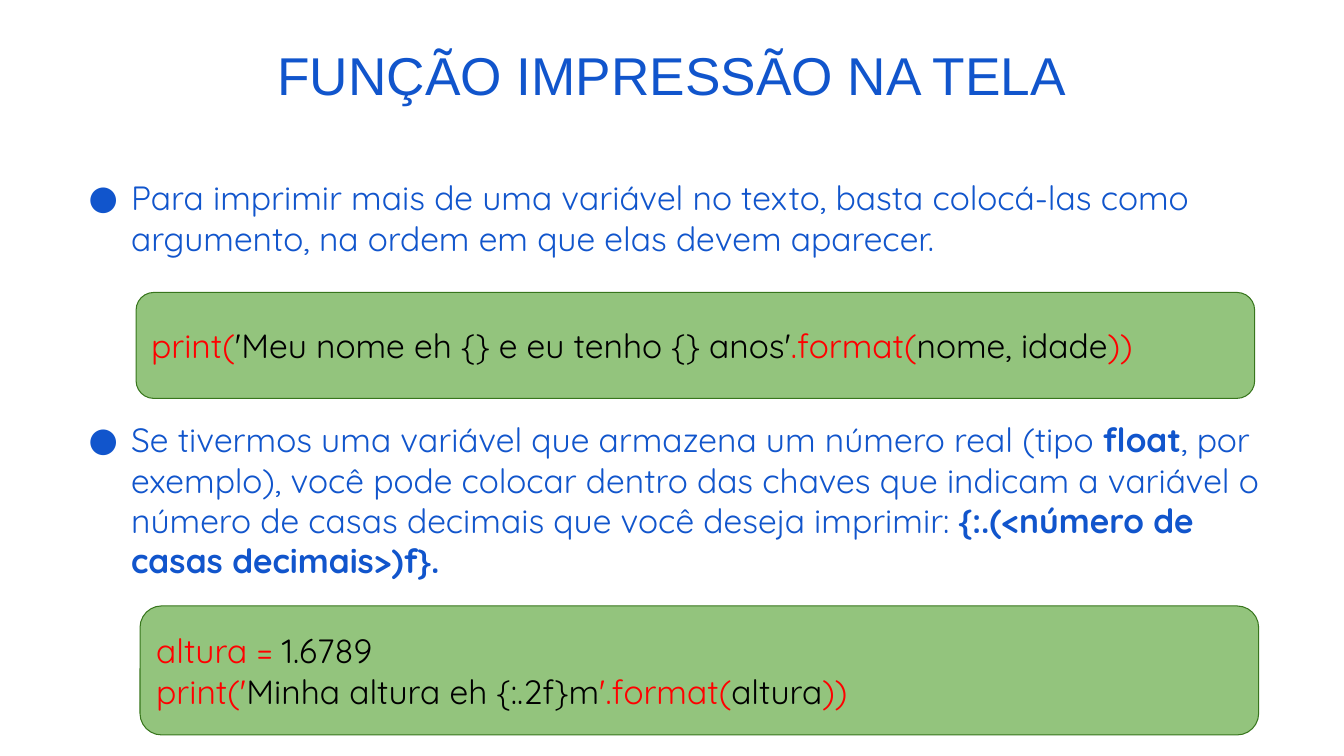
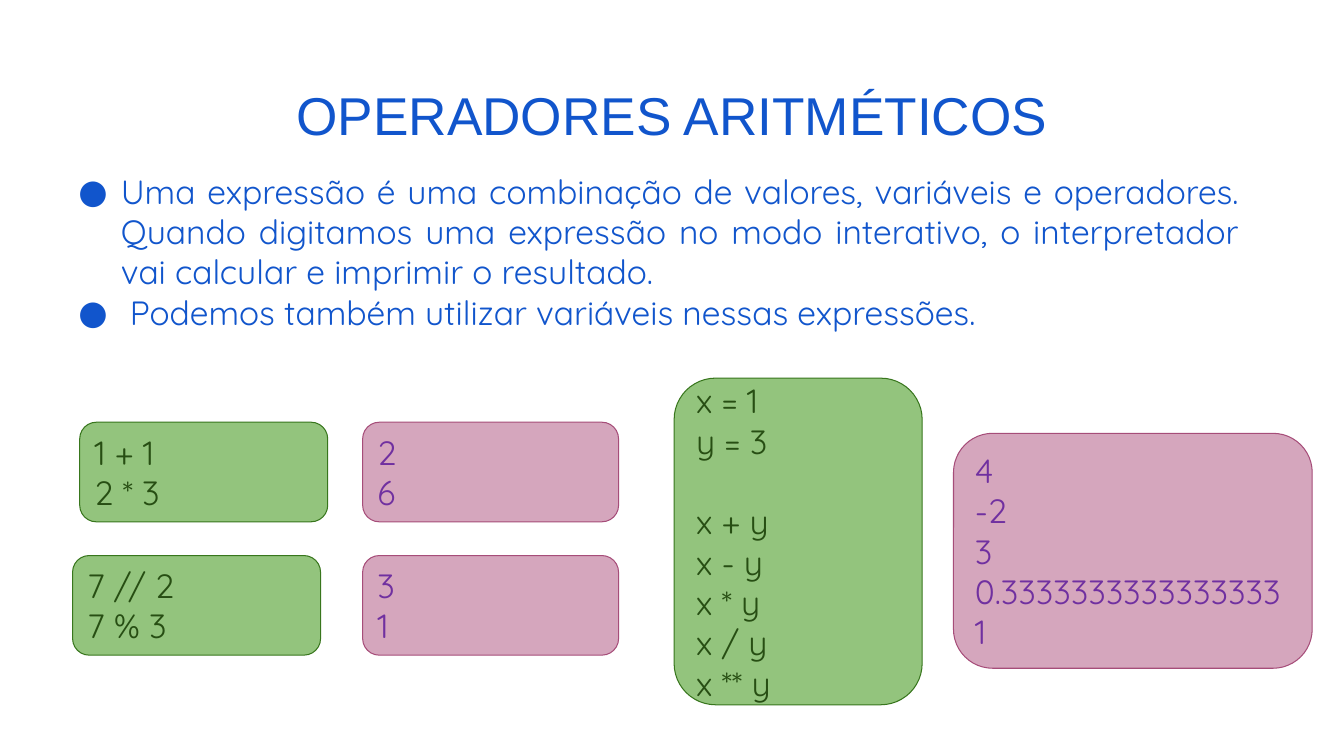
import dataclasses
import itertools

import lxml.etree
import pptx
import pptx.dml.color
import pptx.enum.shapes
import pptx.enum.text
import pptx.oxml.ns
import pptx.util

Cm = pptx.util.Cm
Pt = pptx.util.Pt
RGB = pptx.dml.color.RGBColor.from_string
ALIGN = pptx.enum.text.PP_ALIGN
ANCHOR = pptx.enum.text.MSO_ANCHOR
qn = pptx.oxml.ns.qn


@dataclasses.dataclass(frozen=True)
class Theme:
    blue: str = "1155CC"
    red: str = "FF0000"
    black: str = "000000"
    dark_green: str = "274E13"
    purple: str = "7030A0"
    green_panel: tuple = ("93C47D", "38761D")
    pink_panel: tuple = ("D5A6BD", "A64D79")
    title_font: str = "Arial"
    text_font: str = "Quicksand"
    title_size: int = 38
    text_size: int = 24
    line_gap: float = 28.8


theme = Theme()
PLAIN_BOLD = [(theme.blue, False), (theme.blue, True)]
CODE = [(theme.red, False), (theme.black, False)]
INPUT = [(theme.dark_green, False)]
OUTPUT = [(theme.purple, False)]


def write(tf, paragraphs, looks, align, gaps):
    for i, parts in enumerate(paragraphs):
        p = tf.paragraphs[0] if i == 0 else tf.add_paragraph()
        p.alignment = align
        p.space_before = Pt(gaps.get(i, 0))
        for text, (color, bold) in zip(parts, itertools.cycle(looks)):
            r = p.add_run()
            r.text = text
            r.font.name = theme.text_font
            r.font.size = Pt(theme.text_size)
            r.font.bold = bold
            r.font.color.rgb = RGB(color)


def add_panel(s, box, colors, paragraphs, looks, gaps):
    sp = s.shapes.add_shape(pptx.enum.shapes.MSO_SHAPE.ROUNDED_RECTANGLE, *map(Cm, box))
    sp.shadow.inherit = False
    fill, line = colors
    sp.fill.solid()
    sp.fill.fore_color.rgb = RGB(fill)
    sp.line.color.rgb = RGB(line)
    sp.line.width = Pt(0.75)
    tf = sp.text_frame
    tf.word_wrap = True
    tf.vertical_anchor = ANCHOR.MIDDLE
    tf.margin_left = tf.margin_right = tf.margin_top = tf.margin_bottom = Cm(0.25)
    write(tf, paragraphs, looks, ALIGN.LEFT, gaps)


prs = pptx.Presentation()
prs.slide_width = Cm(33.87)
prs.slide_height = Cm(19.05)

slides = [
    dict(
        title="FUNÇÃO IMPRESSÃO NA TELA",
        title_top=0.79,
        body_box=(1.78, 4.34, 30.45, 13.51),
        align=ALIGN.LEFT,
        gaps={1: 4 * theme.line_gap},
        bullets=[
            ["Para imprimir mais de uma variável no texto, basta colocá-las como "
             "argumento, na ordem em que elas devem aparecer."],
            ["Se tivermos uma variável que armazena um número real (tipo ", "float",
             ", por exemplo), você pode colocar dentro das chaves que indicam a variável o "
             "número de casas decimais que você deseja imprimir: ",
             "{:.(<número de casas decimais>)f}."],
        ],
        panels=[
            ((3.43, 7.37, 28.19, 2.67), theme.green_panel,
             [["print(", "'Meu nome eh {} e eu tenho {} anos'", ".format(", "nome, idade", "))"]],
             CODE, {}),
            ((3.53, 15.27, 28.19, 3.25), theme.green_panel,
             [["altura = ", "1.6789"],
              ["print('", "Minha altura eh {:.2f}m", "'.format(", "altura", "))"]],
             CODE, {}),
        ],
    ),
    dict(
        title="OPERADORES ARITMÉTICOS",
        title_top=1.8,
        body_box=(1.52, 4.17, 29.95, 12.65),
        align=ALIGN.JUSTIFY,
        gaps={},
        bullets=[
            ["Uma expressão é uma combinação de valores, variáveis e operadores. "
             "Quando digitamos uma expressão no modo interativo, o interpretador "
             "vai calcular e imprimir o resultado."],
            [" Podemos também utilizar variáveis nessas expressões."],
        ],
        panels=[
            ((2.01, 10.64, 6.25, 2.51), theme.green_panel, [["1 + 1"], ["2 * 3"]], INPUT, {}),
            ((9.14, 10.64, 6.45, 2.51), theme.pink_panel, [["2"], ["6"]], OUTPUT, {}),
            ((24.03, 10.92, 9.04, 5.92), theme.pink_panel,
             [["4"], ["-2"], ["3"], ["0.3333333333333333"], ["1"]], OUTPUT, {}),
            ((16.99, 9.53, 6.25, 8.23), theme.green_panel,
             [["x = 1"], ["y = 3"], ["x + y"], ["x - y"], ["x * y"], ["x / y"], ["x ** y"]],
             INPUT, {2: theme.line_gap}),
            ((1.83, 14, 6.25, 2.51), theme.green_panel, [["7 // 2"], ["7 % 3"]], INPUT, {}),
            ((9.14, 14, 6.45, 2.51), theme.pink_panel, [["3"], ["1"]], OUTPUT, {}),
        ],
    ),
]

for content in slides:
    s = prs.slides.add_slide(prs.slide_layouts[1])

    title = s.shapes.title
    title.left, title.top = Cm(0), Cm(content["title_top"])
    title.width, title.height = prs.slide_width, Cm(2.03)
    tf = title.text_frame
    tf.text = content["title"]
    tf.auto_size = pptx.enum.text.MSO_AUTO_SIZE.NONE
    tf.vertical_anchor = ANCHOR.BOTTOM
    p = tf.paragraphs[0]
    p.alignment = ALIGN.CENTER
    p.line_spacing = 0.9
    r = p.runs[0]
    r.font.name = theme.title_font
    r.font.size = Pt(theme.title_size)
    r.font.color.rgb = RGB(theme.blue)

    body = s.placeholders[1]
    body.left, body.top, body.width, body.height = map(Cm, content["body_box"])
    tf = body.text_frame
    tf.auto_size = pptx.enum.text.MSO_AUTO_SIZE.NONE
    write(tf, content["bullets"], PLAIN_BOLD, content["align"], content["gaps"])
    for p in tf.paragraphs:
        pPr = p._p.get_or_add_pPr()
        pPr.set("marL", str(Cm(1.27)))
        pPr.set("indent", str(Cm(-1.07)))
        color = lxml.etree.SubElement(pPr, qn("a:buClr"))
        lxml.etree.SubElement(color, qn("a:srgbClr"), val=theme.blue)
        lxml.etree.SubElement(pPr, qn("a:buFont"), typeface=theme.text_font)
        lxml.etree.SubElement(pPr, qn("a:buChar"), char="●")

    for panel in content["panels"]:
        add_panel(s, *panel)

prs.save("out.pptx")
